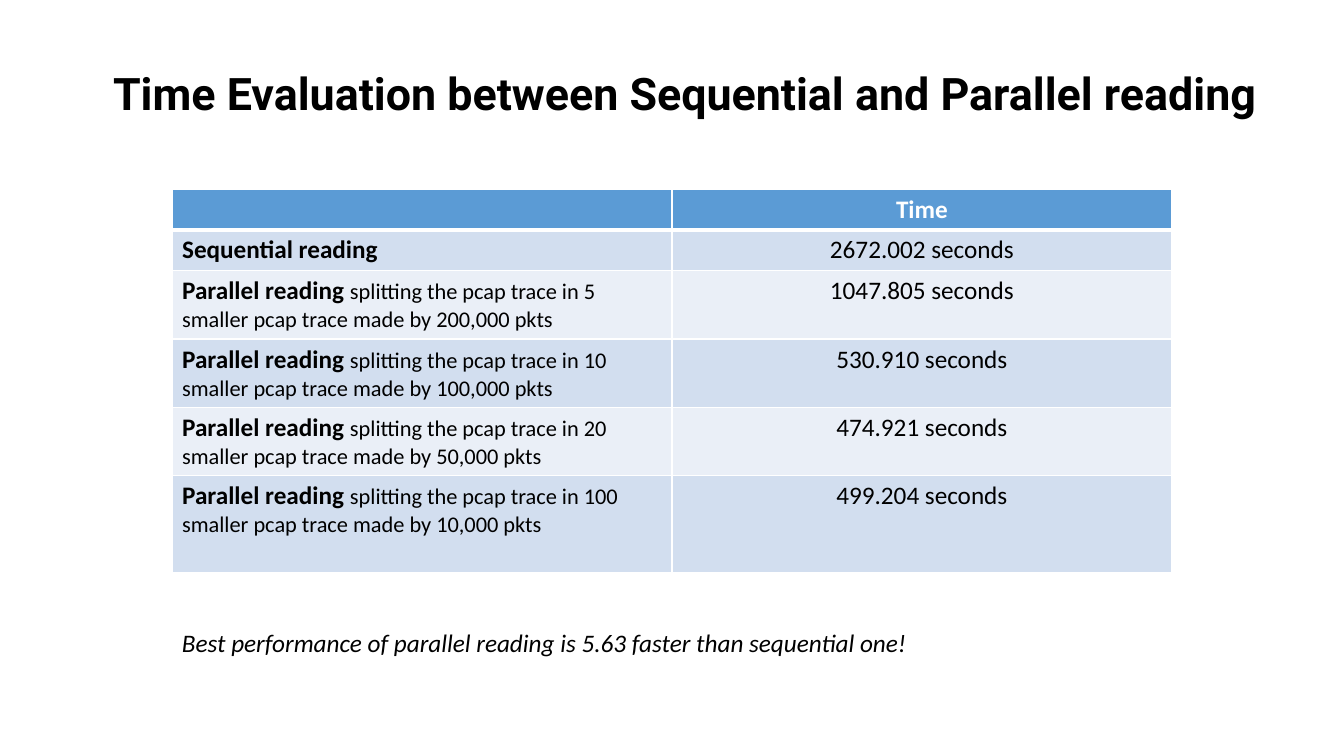
"""Build the slide comparing sequential and parallel reading times."""
from lxml import etree
from pptx import Presentation
from pptx import util as u
from pptx.dml.color import RGBColor
from pptx.enum import text
from pptx.oxml import ns

prs = Presentation()
prs.slide_width, prs.slide_height = u.Inches(13.33), u.Inches(7.5)
W, H = prs.slide_width, prs.slide_height
LEFT, COL = 0.128 * W, 0.372 * W
ROWS = [0.4, 0.4, 0.67, 0.67, 0.67, 0.96]
HEADER, BANDS = "5B9BD5", ["EAEFF7", "D2DEEF"]


def add_run(p, words, size=18, color="000000", font="Calibri", bold=False, italic=False):
    r = p.add_run()
    r.text = words
    f = r.font
    f.size, f.name, f.bold, f.italic = u.Pt(size), font, bold, italic
    f.color.rgb = RGBColor.from_string(color)


def add_border(cell, side, points):
    ln = etree.SubElement(cell._tc.get_or_add_tcPr(), ns.qn(f"a:ln{side}"), w=str(u.Pt(points)))
    fill = etree.SubElement(ln, ns.qn("a:solidFill"))
    etree.SubElement(fill, ns.qn("a:srgbClr"), val="FFFFFF")


s = prs.slides.add_slide(prs.slide_layouts[5])
title = s.shapes.title
title.left, title.top = int(0.0675 * W), int(0.08 * H)
title.width, title.height = int(0.885 * W), int(0.085 * H)
tf = title.text_frame
tf.auto_size = text.MSO_AUTO_SIZE.NONE
p = tf.paragraphs[0]
p.alignment = text.PP_ALIGN.CENTER
add_run(p, "Time Evaluation between Sequential and Parallel reading", 32, font="Roboto", bold=True)

readings = [
    ("", "", "Time"),
    ("Sequential reading ", "", "2672.002 seconds"),
]
for parts, pkts, time in [
    (5, "200,000", "1047.805"),
    (10, "100,000", "530.910"),
    (20, "50,000", "474.921"),
    (100, "10,000", "499.204"),
]:
    detail = f"splitting the pcap trace in {parts} smaller pcap trace made by {pkts} pkts"
    readings.append(("Parallel reading ", detail, f"{time} seconds"))

table = s.shapes.add_table(
    len(ROWS), 2, int(LEFT), int(0.25 * H), int(2 * COL), u.Inches(sum(ROWS))
).table
for col in table.columns:
    col.width = int(COL)
for i, (height, (name, detail, time)) in enumerate(zip(ROWS, readings)):
    table.rows[i].height = u.Inches(height)
    for cell in table.rows[i].cells:
        for side in "LRTB":
            add_border(cell, side, 3 if (i, side) in [(0, "B"), (1, "T")] else 1)
        cell.fill.solid()
        cell.fill.fore_color.rgb = RGBColor.from_string(BANDS[i % 2] if i else HEADER)
    p = table.cell(i, 0).text_frame.paragraphs[0]
    if name:
        add_run(p, name, bold=True)
    if detail:
        add_run(p, detail, 16)
    p = table.cell(i, 1).text_frame.paragraphs[0]
    p.alignment = text.PP_ALIGN.CENTER
    add_run(p, time, color="000000" if i else "FFFFFF", bold=i == 0)

sp = s.shapes.add_textbox(int(LEFT), int(0.823 * H), int(0.647 * W), int(0.053 * H))
tf = sp.text_frame
tf.word_wrap = True
add_run(
    tf.paragraphs[0],
    "Best performance of parallel reading is 5.63 faster than sequential one!",
    italic=True,
)

prs.save("out.pptx")
